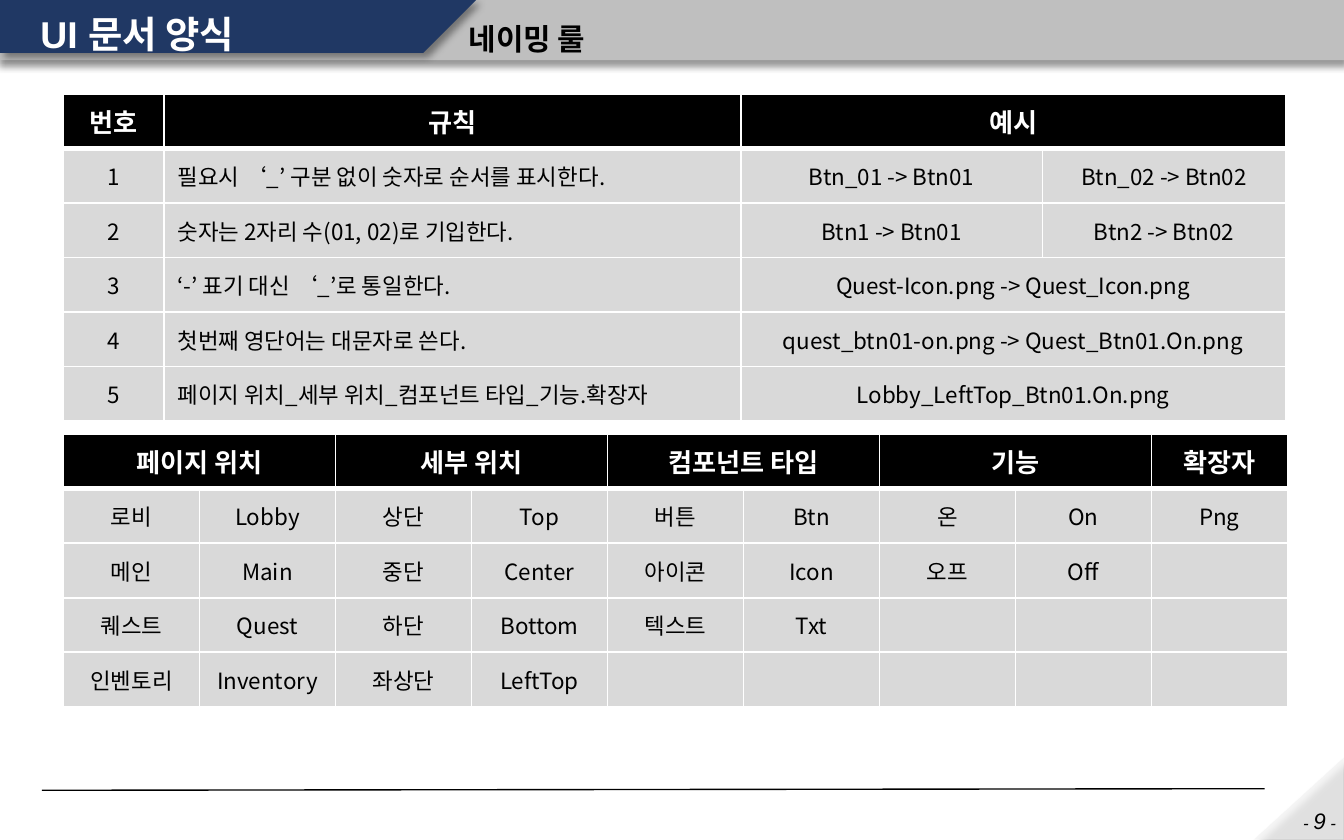
"""Build the naming rule slide of the UI document guide."""
from lxml import etree
from pptx import Presentation
from pptx.dml.color import RGBColor
from pptx.enum.shapes import MSO_CONNECTOR, MSO_SHAPE
from pptx.enum.text import MSO_ANCHOR, MSO_AUTO_SIZE, PP_ALIGN
from pptx.oxml.ns import qn
from pptx.util import Cm, Pt

LEFT, CENTER, RIGHT = PP_ALIGN.LEFT, PP_ALIGN.CENTER, PP_ALIGN.RIGHT
MIDDLE, TOP = MSO_ANCHOR.MIDDLE, MSO_ANCHOR.TOP
NO_FIT = MSO_AUTO_SIZE.NONE
RECT, TRIANGLE = MSO_SHAPE.RECTANGLE, MSO_SHAPE.RIGHT_TRIANGLE
STRAIGHT = MSO_CONNECTOR.STRAIGHT
TITLE_ONLY = 5

COLORS = {
    "black": "000000", "white": "FFFFFF", "navy": "203864",
    "bar": "BFBFBF", "cell": "D9D9D9", "corner": "F2F2F2",
}
HEAD_FONT, TABLE_FONT = "Arial", "Noto Sans CJK KR"
MERGED = None

RULES = [
    ["번호", "규칙", "예시", MERGED],
    ["1", "필요시 ‘_’ 구분 없이 숫자로 순서를 표시한다.", "Btn_01 -> Btn01", "Btn_02 -> Btn02"],
    ["2", "숫자는 2자리 수(01, 02)로 기입한다.", "Btn1 -> Btn01", "Btn2 -> Btn02"],
    ["3", "‘-’ 표기 대신 ‘_’로 통일한다.", "Quest-Icon.png -> Quest_Icon.png", MERGED],
    ["4", "첫번째 영단어는 대문자로 쓴다.", "quest_btn01-on.png -> Quest_Btn01.On.png", MERGED],
    ["5", "페이지 위치_세부 위치_컴포넌트 타입_기능.확장자", "Lobby_LeftTop_Btn01.On.png", MERGED],
]
TERMS = [
    ["페이지 위치", MERGED, "세부 위치", MERGED, "컴포넌트 타입", MERGED, "기능", MERGED, "확장자"],
    ["로비", "Lobby", "상단", "Top", "버튼", "Btn", "온", "On", "Png"],
    ["메인", "Main", "중단", "Center", "아이콘", "Icon", "오프", "Off", ""],
    ["퀘스트", "Quest", "하단", "Bottom", "텍스트", "Txt", "", "", ""],
    ["인벤토리", "Inventory", "좌상단", "LeftTop", "", "", "", "", ""],
]


def rgb(name):
    """Return the palette colour as an RGBColor."""
    return RGBColor.from_string(COLORS[name])


def add_text(p, text, size=12, color="black", font=HEAD_FONT, bold=False, italic=False, align=LEFT):
    """Add one formatted run to a paragraph."""
    p.alignment = align
    r = p.add_run()
    r.text = text
    r.font.size = Pt(size)
    r.font.name = font
    r.font.bold = bold
    r.font.italic = italic
    r.font.color.rgb = rgb(color)
    ea = etree.SubElement(r.font._element, qn("a:ea"))
    ea.set("typeface", TABLE_FONT)


class Deck:
    """Hold the style and the current slide."""

    def __init__(self, prs):
        """Add a title-only slide to the presentation."""
        self.s = prs.slides.add_slide(prs.slide_layouts[TITLE_ONLY])

    def style(self, sp, color, angle, alpha=100):
        """Give a shape a plain fill and a soft shadow."""
        sp.fill.solid()
        sp.fill.fore_color.rgb = rgb(color)
        if alpha < 100:
            clr = sp._element.spPr.find(".//" + qn("a:srgbClr"))
            etree.SubElement(clr, qn("a:alpha"), val=str(alpha * 1000))
        sp.line.fill.background()
        sp.shadow.inherit = False
        effects = sp._element.spPr.find(qn("a:effectLst"))
        shadow = etree.SubElement(
            effects, qn("a:outerShdw"), blurRad=str(Pt(4)), dist=str(Pt(3)),
            dir=str(angle * 60000), algn="tl", rotWithShape="0")
        clr = etree.SubElement(shadow, qn("a:srgbClr"), val=COLORS["black"])
        etree.SubElement(clr, qn("a:alpha"), val="40000")

    def shape(self, kind, x, y, w, h, color, angle=45, alpha=100, rotation=0):
        """Add a preset shape."""
        sp = self.s.shapes.add_shape(kind, Cm(x), Cm(y), Cm(w), Cm(h))
        sp.rotation = rotation
        self.style(sp, color, angle, alpha)

    def outline(self, points, color, angle=45):
        """Add a closed polygon."""
        builder = self.s.shapes.build_freeform(*points[0], scale=Cm(1))
        builder.add_line_segments(points[1:], close=True)
        self.style(builder.convert_to_shape(), color, angle)

    def line(self, x1, y1, x2, y2):
        """Add a thin black line."""
        cn = self.s.shapes.add_connector(STRAIGHT, Cm(x1), Cm(y1), Cm(x2), Cm(y2))
        cn.line.color.rgb = rgb("black")
        cn.line.width = Pt(0.75)
        etree.SubElement(cn._element.spPr, qn("a:effectLst"))

    def frame(self, sp, anchor, spacing):
        """Set up a text frame and return its first paragraph."""
        tf = sp.text_frame
        tf.word_wrap = True
        tf.auto_size = NO_FIT
        tf.vertical_anchor = anchor
        p = tf.paragraphs[0]
        p.line_spacing = spacing
        return p

    def title(self, text, x, y, w, h):
        """Place the title placeholder in front of the banner."""
        sp = self.s.shapes.title
        sp.left, sp.top, sp.width, sp.height = Cm(x), Cm(y), Cm(w), Cm(h)
        self.s.shapes._spTree.append(sp._element)
        p = self.frame(sp, MIDDLE, 0.9)
        add_text(p, text, size=20, color="white", bold=True)

    def text(self, runs, x, y, w, h, anchor=TOP, spacing=1.0, **fmt):
        """Add a text box from pairs of text and size."""
        sp = self.s.shapes.add_textbox(Cm(x), Cm(y), Cm(w), Cm(h))
        p = self.frame(sp, anchor, spacing)
        for text, size in runs:
            add_text(p, text, size=size, **fmt)

    def borders(self, cell, top, bottom):
        """Draw white borders around a cell."""
        tc_pr = cell._tc.get_or_add_tcPr()
        for side, width in (("lnL", 1), ("lnR", 1), ("lnT", top), ("lnB", bottom)):
            ln = etree.SubElement(tc_pr, qn(f"a:{side}"), w=str(Pt(width)))
            fill = etree.SubElement(ln, qn("a:solidFill"))
            etree.SubElement(fill, qn("a:srgbClr"), val=COLORS["white"])

    def table(self, rows, x, y, widths, row_height=1.03, left_column=None):
        """Add a table with a black header row."""
        tbl = self.s.shapes.add_table(
            len(rows), len(widths), Cm(x), Cm(y),
            Cm(sum(widths)), Cm(row_height * len(rows))).table
        for column, width in zip(tbl.columns, widths):
            column.width = Cm(width)
        for i, row in enumerate(rows):
            tbl.rows[i].height = Cm(row_height)
            head = i == 0
            for j, text in enumerate(row):
                cell = tbl.cell(i, j)
                self.borders(cell, 3 if i == 1 else 1, 3 if head else 1)
                cell.fill.solid()
                cell.fill.fore_color.rgb = rgb("black" if head else "cell")
                cell.vertical_anchor = MIDDLE
                if text is MERGED:
                    tbl.cell(i, j - 1).merge(cell)
                    continue
                add_text(
                    cell.text_frame.paragraphs[0], text, size=14 if head else 12,
                    color="white" if head else "black", font=TABLE_FONT, bold=head,
                    align=LEFT if j == left_column and not head else CENTER)


def main():
    """Build and save the slide."""
    prs = Presentation()
    prs.slide_width, prs.slide_height = Cm(25.4), Cm(15.88)
    deck = Deck(prs)
    deck.shape(RECT, 0, 0, 25.4, 1.14, "bar", angle=90)
    deck.outline([(0, 0), (8.53, 0), (7.52, 1.37), (1.78, 1.35), (0, 1.35)], "navy")
    deck.shape(TRIANGLE, 23.77, 14.25, 1.55, 1.7, "corner", alpha=70, rotation=270)
    deck.text([("- ", 9), ("9", 12), (" -", 9)], 22.71, 15.14, 2.79, 0.51,
              italic=True, align=RIGHT)
    deck.line(0.79, 14.94, 23.9, 14.91)
    deck.title("UI 문서 양식", 0.51, 0, 7.59, 1.37)
    deck.text([("네이밍 룰", 16)], 8.61, 0, 16.79, 1.14, anchor=MIDDLE, spacing=1.5, bold=True)
    deck.table(TERMS, 1.2, 8.21, [2.57] * 9)
    deck.table(RULES, 1.2, 1.78, [1.9, 10.9, 5.7, 4.6], left_column=1)
    prs.save("out.pptx")


if __name__ == "__main__":
    main()
